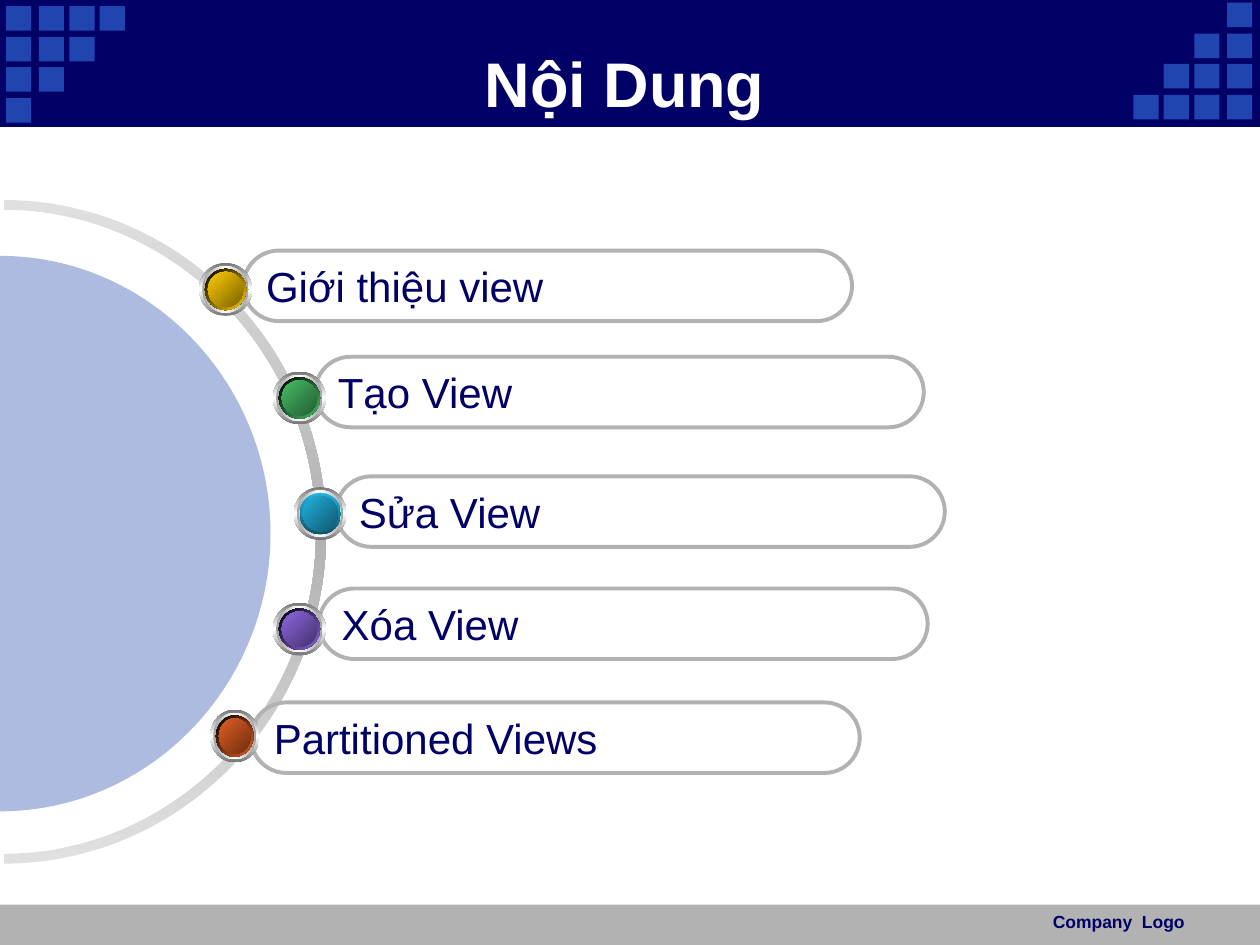
from lxml.etree import SubElement
from pptx import Presentation
from pptx.dml.color import RGBColor
from pptx.enum.shapes import MSO_SHAPE
from pptx.enum.text import MSO_ANCHOR, PP_ALIGN
from pptx.oxml.ns import qn
from pptx.util import Pt

NAVY, BLUE, GREY, WHITE = "000066", "2045AE", "B2B2B2", "FFFFFF"


def paint(shape, colors, angle=0, line=None, weight=0.75):
    """Fill with nothing, one colour or an even gradient, and set the outline."""
    shape.shadow.inherit = False
    if line:
        shape.line.color.rgb = RGBColor.from_string(line)
        shape.line.width = Pt(weight)
    else:
        shape.line.fill.background()
    if len(colors) == 1:
        shape.fill.solid()
        shape.fill.fore_color.rgb = RGBColor.from_string(colors[0])
        return
    shape.fill.background()
    if colors:
        properties = shape._element.spPr
        empty = properties.find(qn("a:noFill"))
        gradient = SubElement(properties, qn("a:gradFill"), rotWithShape="1")
        properties.replace(empty, gradient)
        stops = SubElement(gradient, qn("a:gsLst"))
        for i, color in enumerate(colors):
            position = str(100000 * i // (len(colors) - 1))
            stop = SubElement(stops, qn("a:gs"), pos=position)
            SubElement(stop, qn("a:srgbClr"), val=color)
        SubElement(gradient, qn("a:lin"), ang=str(angle * 60000), scaled="0")


def write(shape, text, size, color, align, bold=False, wrap=True,
          anchor=MSO_ANCHOR.MIDDLE):
    frame = shape.text_frame
    frame.word_wrap = wrap
    frame.vertical_anchor = anchor
    paragraph = frame.paragraphs[0]
    paragraph.alignment = align
    run = paragraph.add_run()
    run.text = text
    for name, value in {"name": "Arial", "size": Pt(size), "bold": bold}.items():
        setattr(run.font, name, value)
    run.font.color.rgb = RGBColor.from_string(color)


deck = Presentation()
deck.slide_width, deck.slide_height = Pt(720), Pt(540)
slide = deck.slides.add_slide(deck.slide_layouts[6])
shapes = slide.shapes

# Footer and header bands
footer_band = shapes.add_shape(MSO_SHAPE.RECTANGLE, 0, Pt(516.9), Pt(720), Pt(23.1))
paint(footer_band, [GREY])
header_band = shapes.add_shape(MSO_SHAPE.RECTANGLE, 0, 0, Pt(720), Pt(72))
paint(header_band, [NAVY], line=NAVY)

# Corner squares: a staircase at the left, turned half round at the right
columns = [3.5, 22.2, 39.7, 57]
rows = [3.5, 21.1, 38.4, 56.1]
for turned in (False, True):
    corner = shapes.add_group_shape()
    for i, y in enumerate(rows):
        for x in columns[:4 - i]:
            left, top = (704.7 - x, 57.7 - y) if turned else (x, y)
            square = corner.shapes.add_shape(
                MSO_SHAPE.RECTANGLE, Pt(left), Pt(top), Pt(14.4), Pt(14))
            paint(square, [BLUE])

# Footer text and title
footer = shapes.add_textbox(Pt(563.8), Pt(516.9), Pt(120.2), Pt(23))
write(footer, "Company  Logo", 10, NAVY, PP_ALIGN.RIGHT, bold=True,
      anchor=MSO_ANCHOR.TOP)
title = shapes.add_textbox(Pt(66), Pt(24.8), Pt(582), Pt(44.6))
write(title, "Nội Dung", 36, WHITE, PP_ALIGN.CENTER, bold=True)

# Half ring and half disc: two Bézier quarters to each half circle
half_circle = [(0, -1), (0.55, -1), (1, -0.55), (1, 0), (1, 0.55), (0.55, 1), (0, 1)]
outer = [(2.2 + 184.2 * x, 303.9 + 189.6 * y) for x, y in half_circle]
inner = [(2.2 + 178.5 * x, 303.9 + 184 * y) for x, y in half_circle]
disc_edge = [(154.6 * x, 304.9 + 158.7 * y) for x, y in half_circle]
for outline, colors in ((outer + inner[::-1], ["E0E0E0", GREY, "E0E0E0"]),
                        (disc_edge, [BLUE])):
    points = [(Pt(x), Pt(y)) for x, y in outline]
    builder = shapes.build_freeform(*points[0], scale=1)
    builder.add_line_segments(points[1:], close=True)
    arc = builder.convert_to_shape()
    paint(arc, colors, 90)
    trace = next(arc._element.spPr.iter(qn("a:path")))
    steps = trace.findall(qn("a:lnTo"))
    for start in range(0, len(steps), 7):
        for first in (start, start + 3):
            curve = SubElement(trace, qn("a:cubicBezTo"))
            steps[first].addprevious(curve)
            for step in steps[first:first + 3]:
                curve.append(step[0])
                trace.remove(step)
disc_color = arc._element.spPr.find(qn("a:solidFill")).find(qn("a:srgbClr"))
SubElement(disc_color, qn("a:alpha"), val="36000")

# Topics: text, pill left and top, ball left, top and width, ball colours
topics = [
    ("Giới thiệu view", 139.1, 143.2, 113.8, 150.3, 30.2, "FFCC00", "7C6300"),
    ("Tạo View", 180.1, 203.9, 156, 212.3, 30.2, "48BE67", "235C32"),
    ("Sửa View", 192.1, 272.2, 167.9, 278.4, 30.2, "21B3E1", "10576D"),
    ("Xóa View", 182.3, 336.3, 156, 344.4, 30.2, "8D67E1", "45326D"),
    ("Partitioned Views", 143.5, 401.4, 120.1, 405.5, 28.1, "E35E23", "6E2E11"),
]
for text, left, top, *ball_data in reversed(topics):
    pill = shapes.add_shape(
        MSO_SHAPE.ROUNDED_RECTANGLE, Pt(left), Pt(top), Pt(347.8), Pt(40.3))
    pill.adjustments[0] = 0.5
    paint(pill, [], line=GREY, weight=2.25)
    write(pill, text, 24, NAVY, PP_ALIGN.LEFT, wrap=False)

# Balls: nested ellipses, each given by inset, colours and gradient angle
for text, _, _, left, top, width, bright, dark in topics:
    rim = ("21B3E1", "0F5368", 90) if text == "Sửa View" else ("000000", bright, 45)
    layers = [
        (0, ["767676", WHITE, "767676"], 90),
        (1.8, ["A2A2A2", WHITE, "A2A2A2"], 0),
        (3.3, [WHITE, "3DC5C5", WHITE], 45),
        (3.3, rim[:2], rim[2]),
        (5, ["2F9797", "3DC5C5", "2F9797"], 315),
        (5, [bright, dark], 45),
    ]
    ball = shapes.add_group_shape()
    for inset, colors, angle in layers:
        layer = ball.shapes.add_shape(
            MSO_SHAPE.OVAL, Pt(left + inset), Pt(top + inset),
            Pt(width - 2 * inset), Pt(30.2 - 2 * inset))
        paint(layer, colors, angle)

deck.save("out.pptx")
